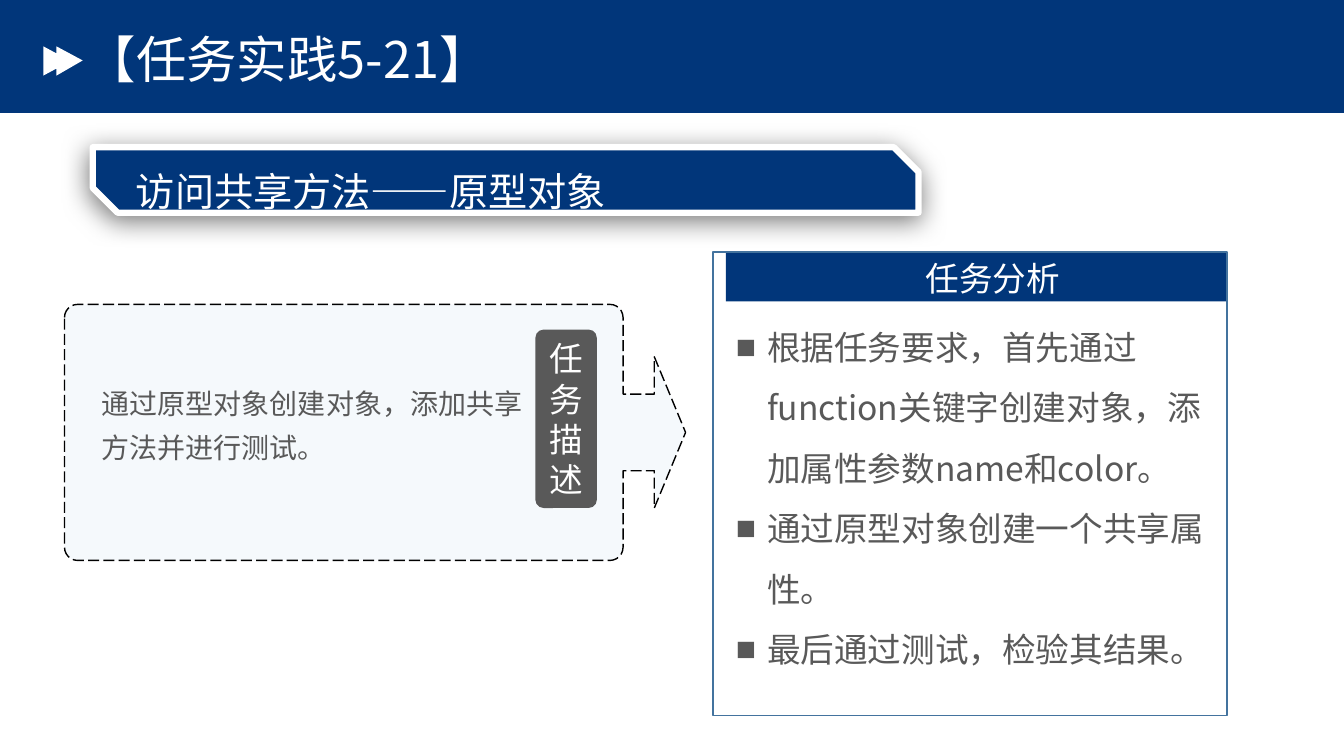
from math import cos, radians, sin

from lxml import etree
from pptx import Presentation
from pptx.dml.color import RGBColor
from pptx.enum.dml import MSO_LINE
from pptx.enum.shapes import MSO_SHAPE as SHAPE
from pptx.enum.text import MSO_ANCHOR as ANCHOR, MSO_AUTO_SIZE as AUTO_SIZE, PP_ALIGN as ALIGN
from pptx.oxml.ns import qn
from pptx.util import Inches, Pt

NAVY = RGBColor(0x01, 0x36, 0x7A)
WHITE = RGBColor(0xFF, 0xFF, 0xFF)
GREY = RGBColor(0x59, 0x59, 0x59)
PALE_BLUE = RGBColor(0xBD, 0xD7, 0xEE)
STEEL = RGBColor(0x43, 0x73, 0x9E)
BLACK = RGBColor(0, 0, 0)
NOTO = "Noto Sans CJK SC"

ANALYSIS = [
    "根据任务要求，首先通过function关键字创建对象，添加属性参数name和color。",
    "通过原型对象创建一个共享属性。",
    "最后通过测试，检验其结果。",
]


def child(parent, tag, **attributes):
    return etree.SubElement(parent, qn(tag), {k: str(v) for k, v in attributes.items()})


def write(shape, paragraphs, size, color, font=NOTO, align=ALIGN.LEFT,
          anchor=ANCHOR.TOP, spacing=1.0, bullet=None):
    frame = shape.text_frame
    frame.word_wrap = True
    frame.auto_size = AUTO_SIZE.NONE
    frame.vertical_anchor = anchor
    for index, text in enumerate(paragraphs):
        paragraph = frame.add_paragraph() if index else frame.paragraphs[0]
        paragraph.alignment = align
        paragraph.line_spacing = spacing
        if bullet:
            properties = paragraph._p.get_or_add_pPr()
            properties.set("marL", str(Inches(0.31)))
            properties.set("indent", str(-Inches(0.31)))
            child(properties, "a:buFont", typeface="Arial")
            child(properties, "a:buChar", char=bullet)
        run = paragraph.add_run()
        run.text = text
        run.font.name = font
        run.font.size = Pt(size)
        run.font.color.rgb = color
        child(run._r.get_or_add_rPr(), "a:ea", typeface=font)


def add_text(slide, box, paragraphs, size, color, **style):
    write(slide.shapes.add_textbox(*map(Inches, box)), paragraphs, size, color, **style)


def paint(shape, fill=None, line=None, width=1):
    shape.shadow.inherit = False
    if fill is None:
        shape.fill.background()
    else:
        shape.fill.solid()
        shape.fill.fore_color.rgb = fill
    if line is None:
        shape.line.fill.background()
    else:
        shape.line.color.rgb = line
        shape.line.width = Pt(width)
    return shape


def add_block(slide, kind, box, **colors):
    return paint(slide.shapes.add_shape(kind, *map(Inches, box)), **colors)


def add_outline(slide, points, **colors):
    start, *rest = [(Inches(x), Inches(y)) for x, y in points]
    builder = slide.shapes.build_freeform(*start)
    builder.add_line_segments(rest, close=True)
    return paint(builder.convert_to_shape(), **colors)


def corner(x, y, start, radius=0.13):
    angles = [radians(start + step * 15) for step in range(7)]
    return [(x + radius * cos(a), y + radius * sin(a)) for a in angles]


def add_header(slide):
    add_block(slide, SHAPE.RECTANGLE, (0, 0, 13.33, 1.12), fill=NAVY)
    add_outline(slide, [(0.43, 0.46), (0.56, 0.53), (0.56, 0.46), (0.82, 0.6),
                        (0.56, 0.75), (0.56, 0.68), (0.43, 0.75)], fill=WHITE)
    title = slide.shapes.title
    title.left, title.top, title.width, title.height = map(Inches, (0.75, 0.34, 6.58, 0.56))
    write(title, ["【任务实践5-21】"], 36, WHITE, anchor=ANCHOR.MIDDLE, spacing=0.9)
    title.element.getparent().append(title.element)


def add_topic(slide):
    banner = add_block(slide, SHAPE.SNIP_2_DIAG_RECTANGLE, (0.92, 1.46, 8.19, 0.65),
                       fill=NAVY, line=WHITE, width=4.5)
    banner.adjustments[0] = 0
    banner.adjustments[1] = 0.378
    effects = banner.element.spPr.find(qn("a:effectLst"))
    shadow = child(effects, "a:outerShdw", blurRad=Pt(19), dist=Pt(4),
                   dir=112 * 60000, algn="tl", rotWithShape=0)
    child(child(shadow, "a:srgbClr", val=BLACK), "a:alpha", val=51000)
    add_text(slide, (1.25, 1.47, 7.4, 0.7), ["访问共享方法——原型对象"], 28, WHITE, spacing=1.3)


def add_description(slide):
    arrow = [(6.18, 3.91), (6.49, 3.91), (6.49, 3.54), (6.8, 4.29),
             (6.49, 5.04), (6.49, 4.67), (6.18, 4.67)]
    callout = add_outline(slide, corner(0.77, 3.15, 180) + corner(6.05, 3.15, 270) + arrow
                          + corner(6.05, 5.43, 0) + corner(0.77, 5.43, 90),
                          fill=PALE_BLUE, line=BLACK)
    callout.line.dash_style = MSO_LINE.LONG_DASH
    tint = callout.element.spPr.find(qn("a:solidFill")).find(qn("a:srgbClr"))
    child(tint, "a:alpha", val=15000)
    add_text(slide, (0.91, 3.69, 4.4, 0.93), ["通过原型对象创建对象，添加共享方法并进行测试。"],
             20, GREY, spacing=1.3)
    label = add_block(slide, SHAPE.ROUNDED_RECTANGLE, (5.31, 3.27, 0.61, 1.77), fill=GREY)
    label.adjustments[0] = 0.133
    write(label, ["任务描述"], 24, WHITE, font="Calibri", align=ALIGN.CENTER,
          anchor=ANCHOR.MIDDLE)


def add_analysis(slide):
    add_block(slide, SHAPE.RECTANGLE, (7.2, 2.5, 4.97, 0.49), fill=NAVY)
    add_text(slide, (7.2, 2.51, 5.29, 0.5), ["任务分析"], 24, WHITE, align=ALIGN.CENTER)
    add_text(slide, (7.2, 2.99, 4.97, 4.28), ANALYSIS, 24, GREY, spacing=1.5, bullet="■")
    add_block(slide, SHAPE.RECTANGLE, (7.07, 2.5, 5.1, 4.6), line=STEEL)


def main():
    deck = Presentation()
    deck.slide_width, deck.slide_height = Inches(13.33), Inches(7.5)
    slide = deck.slides.add_slide(deck.slide_layouts[5])
    add_header(slide)
    add_topic(slide)
    add_description(slide)
    add_analysis(slide)
    deck.save("out.pptx")


if __name__ == "__main__":
    main()
